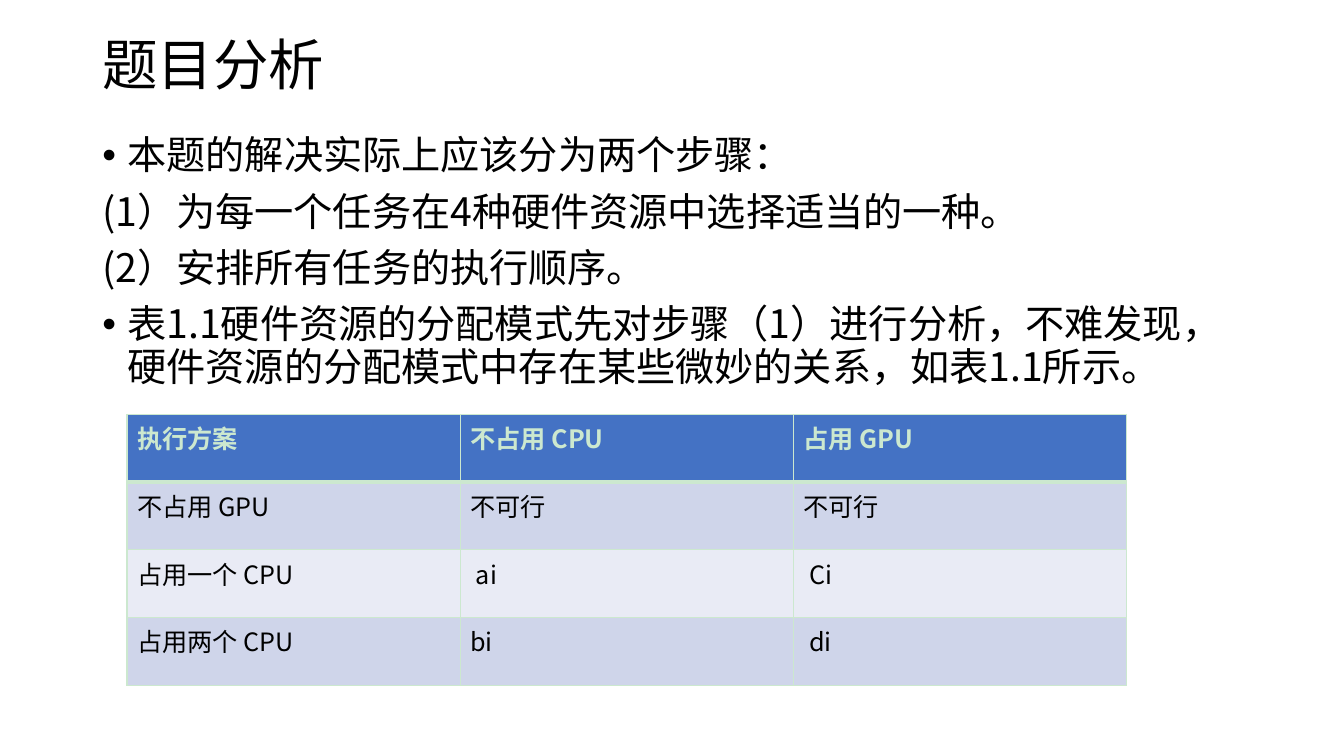
import pptx
import pptx.dml.color
import pptx.enum.text
import pptx.oxml
import pptx.oxml.ns
import pptx.util

Pt = pptx.util.Pt
RGBColor = pptx.dml.color.RGBColor
ANCHOR = pptx.enum.text.MSO_ANCHOR
NAMESPACE = pptx.oxml.ns.nsdecls("a")

THEME = {
    "font": "Noto Sans CJK SC",
    "text": "000000",
    "pale": "CCE8CF",
    "header": "4472C4",
    "bands": ["CFD5EA", "E9EBF5"],
    "title_size": 39.6,
    "body_size": 28,
    "table_size": 18,
}


def write_text(paragraph, text, size, color=THEME["text"], bold=False):
    run = paragraph.add_run()
    run.text = text
    formats = {"name": THEME["font"], "size": Pt(size), "bold": bold}
    for attribute, value in formats.items():
        setattr(run.font, attribute, value)
    run.font.color.rgb = RGBColor.from_string(color)
    run.font._element.append(pptx.oxml.parse_xml(
        f'<a:ea {NAMESPACE} typeface="{THEME["font"]}"/>'))


def add_text_frame(slide, top, height, anchor):
    text_frame = slide.shapes.add_textbox(Pt(66), Pt(top), Pt(828), Pt(height)).text_frame
    for attribute, value in {"word_wrap": True, "vertical_anchor": anchor}.items():
        setattr(text_frame, attribute, value)
    return text_frame


presentation = pptx.Presentation()
presentation.slide_width, presentation.slide_height = Pt(960), Pt(540)
slide = presentation.slides.add_slide(presentation.slide_layouts[6])

# Title
title = add_text_frame(slide, 28.8, 39, ANCHOR.MIDDLE).paragraphs[0]
title.line_spacing = 0.9
write_text(title, "题目分析", THEME["title_size"])

# Analysis steps: text and whether it has a bullet
STEPS = [
    ("本题的解决实际上应该分为两个步骤：", True),
    ("(1）为每一个任务在4种硬件资源中选择适当的一种。", False),
    ("(2）安排所有任务的执行顺序。", False),
    ("表1.1硬件资源的分配模式先对步骤（1）进行分析，不难发现，"
     "硬件资源的分配模式中存在某些微妙的关系，如表1.1所示。", True),
]
body = add_text_frame(slide, 93.6, 193.7, ANCHOR.TOP)
for index, (text, bulleted) in enumerate(STEPS):
    paragraph = body.add_paragraph() if index else body.paragraphs[0]
    if bulleted:
        properties = paragraph._p.get_or_add_pPr()
        properties.set("marL", str(Pt(18)))
        properties.set("indent", str(-Pt(18)))
        for bullet in ('buFont {} typeface="Arial"', 'buChar {} char="•"'):
            properties.append(pptx.oxml.parse_xml(f"<a:{bullet.format(NAMESPACE)}/>"))
    paragraph.line_spacing = 0.9
    paragraph.space_before = Pt(10 if index else 0)
    write_text(paragraph, text, THEME["body_size"])

# Allocation table
ROWS = [
    ["执行方案", "不占用 CPU", "占用 GPU"],
    ["不占用 GPU", "不可行", "不可行"],
    ["占用一个 CPU", " ai", " Ci"],
    ["占用两个 CPU", "bi", " di"],
]
table = slide.shapes.add_table(
    len(ROWS), len(ROWS[0]), Pt(90.7), Pt(296), Pt(714), Pt(193.6)).table
for row_index, row in enumerate(ROWS):
    is_header = row_index == 0
    fill = THEME["header"] if is_header else THEME["bands"][(row_index - 1) % 2]
    color = THEME["pale"] if is_header else THEME["text"]
    for column_index, text in enumerate(row):
        cell = table.cell(row_index, column_index)
        write_text(cell.text_frame.paragraphs[0], text, THEME["table_size"], color, is_header)
        # The rule below the header is thicker than the others
        widths = {"L": 1, "R": 1, "T": 3 if row_index == 1 else 1, "B": 3 if is_header else 1}
        for side, width in widths.items():
            cell._tc.get_or_add_tcPr().append(pptx.oxml.parse_xml(
                f'<a:ln{side} {NAMESPACE} w="{Pt(width)}"><a:solidFill>'
                f'<a:srgbClr val="{THEME["pale"]}"/></a:solidFill></a:ln{side}>'))
        cell.fill.solid()
        cell.fill.fore_color.rgb = RGBColor.from_string(fill)

presentation.save("out.pptx")
